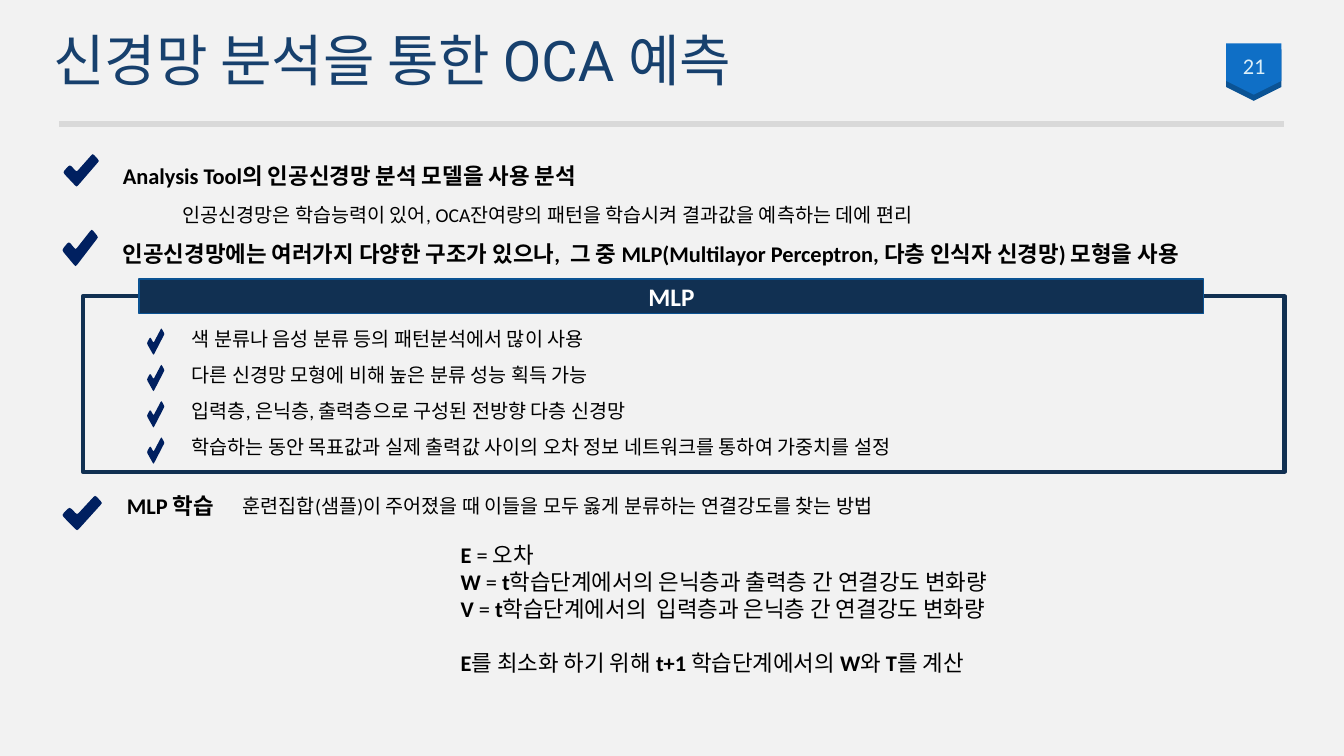
from dataclasses import dataclass

from lxml import etree
from pptx import Presentation
from pptx import util as u
from pptx.dml.color import RGBColor
from pptx.enum import shapes, text
from pptx.oxml.ns import qn

PX = 9144
NAVY, CHECK, BLACK = "113052", "002060", "000000"
CHECK_POINTS = [
    (97, 26), (100, 21), (97, 15), (87, 3), (83, 0), (79, 3),
    (41, 50), (37, 53), (33, 50), (23, 38), (18, 35), (13, 38),
    (3, 50), (0, 56), (3, 62), (33, 97), (37, 100), (41, 97),
]


@dataclass(frozen=True)
class Box:
    left: int
    top: int
    width: int
    height: int

    def emu(self) -> list[u.Emu]:
        return [u.Emu(v * PX) for v in (self.left, self.top, self.width, self.height)]


@dataclass(frozen=True)
class Span:
    words: str
    bold: bool = False


@dataclass(frozen=True)
class Label:
    box: Box
    words: str
    size: int
    bold: bool = False


LABELS = [
    Label(Box(112, 156, 508, 37), "Analysis Tool의 인공신경망 분석 모델을 사용 분석", 16, True),
    Label(Box(171, 196, 806, 34),
          "인공신경망은 학습능력이 있어, OCA잔여량의 패턴을 학습시켜 결과값을 예측하는 데에 편리", 14),
    Label(Box(112, 233, 1125, 37),
          "인공신경망에는 여러가지 다양한 구조가 있으나,  그 중 MLP(Multilayor Perceptron, 다층 인식자 신경망) 모형을 사용",
          16, True),
    Label(Box(116, 483, 110, 37), "MLP 학습", 16, True),
    Label(Box(231, 485, 700, 34),
          "훈련집합(샘플)이 주어졌을 때 이들을 모두 옳게 분류하는 연결강도를 찾는 방법", 14),
]
FEATURES = [
    "색 분류나 음성 분류 등의 패턴분석에서 많이 사용",
    "다른 신경망 모형에 비해 높은 분류 성능 획득 가능",
    "입력층, 은닉층, 출력층으로 구성된 전방향 다층 신경망",
    "학습하는 동안 목표값과 실제 출력값 사이의 오차 정보 네트워크를 통하여 가중치를 설정",
]
FORMULAS = [
    [Span("E", True), Span(" = 오차")],
    [Span("W", True), Span(" = "), Span("t", True),
     Span("학습단계에서의 은닉층과 출력층 간 연결강도 변화량")],
    [Span("V", True), Span(" = "), Span("t", True),
     Span("학습단계에서의  입력층과 은닉층 간 연결강도 변화량")],
    [Span("E", True), Span("를 최소화 하기 위해 "), Span("t+1 ", True), Span("학습단계에서의 "),
     Span("W", True), Span("와 "), Span("T", True), Span("를 계산")],
]
FEATURE_PITCH = 36
CHECKS = [Box(63, 153, 35, 32), Box(62, 228, 35, 36), Box(62, 492, 39, 34)] + [
    Box(146, 326 + FEATURE_PITCH * row, 17, 26) for row in range(len(FEATURES))
]


def color(value: str) -> RGBColor:
    return RGBColor.from_string(value)


def apply(target, values: dict) -> None:
    for name, value in values.items():
        setattr(target, name, value)


def write(para, spans: list[Span], size: int, ink: str = BLACK, face: str = "Calibri") -> None:
    for item in spans:
        span = para.add_run()
        span.text = item.words
        apply(span.font, {"size": u.Pt(size), "name": face, "bold": item.bold})
        span.font.color.rgb = color(ink)


def add_text(page, box: Box):
    frame = page.shapes.add_textbox(*box.emu()).text_frame
    apply(frame, {"word_wrap": True, "auto_size": text.MSO_AUTO_SIZE.SHAPE_TO_FIT_TEXT})
    return frame


def paint(shape, fill: str | None, line: str | None = None, weight: float = 1) -> None:
    shape.shadow.inherit = False
    if fill:
        shape.fill.solid()
        shape.fill.fore_color.rgb = color(fill)
    else:
        shape.fill.background()
    if line:
        shape.line.color.rgb = color(line)
        shape.line.width = u.Pt(weight)
    else:
        shape.line.fill.background()


def add_check(page, box: Box) -> None:
    left, top, width, height = box.emu()
    builder = page.shapes.build_freeform(*CHECK_POINTS[0], scale=(width / 100, height / 100))
    builder.add_line_segments(CHECK_POINTS[1:], close=True)
    paint(builder.convert_to_shape(left, top), CHECK)


def add_heading(page) -> None:
    title = page.shapes.title
    apply(title, dict(zip(("left", "top", "width", "height"), Box(43, 16, 1086, 93).emu())))
    apply(title.text_frame, {"vertical_anchor": text.MSO_ANCHOR.MIDDLE, "word_wrap": True,
                             "auto_size": text.MSO_AUTO_SIZE.NONE})
    para = title.text_frame.paragraphs[0]
    apply(para, {"alignment": text.PP_ALIGN.LEFT, "line_spacing": 0.9})
    write(para, [Span("신경망 분석을 통한 OCA 예측")], 40, "17406D", "Roboto")

    rule = page.shapes.add_connector(
        shapes.MSO_CONNECTOR.STRAIGHT, *[u.Emu(v * PX) for v in (59, 123, 1274, 123)])
    rule.line.color.rgb = color("D9D9D9")
    rule.line.width = u.Pt(4)
    etree.SubElement(rule._element.spPr, qn("a:effectLst"))


def add_page_badge(page) -> None:
    for top, fill in ((47, "0B5394"), (41, "0F6FC6")):
        badge = page.shapes.add_shape(shapes.MSO_SHAPE.PENTAGON, *Box(1218, top, 51, 55).emu())
        badge.rotation = 90
        badge.adjustments[0] = 0.27
        paint(badge, fill)
    frame = add_text(page, Box(1208, 45, 72, 40))
    apply(frame, {"vertical_anchor": text.MSO_ANCHOR.MIDDLE,
                  "auto_size": text.MSO_AUTO_SIZE.NONE})
    frame.paragraphs[0].alignment = text.PP_ALIGN.CENTER
    write(frame.paragraphs[0], [Span("21")], 16, "DBEFF9")


def add_features(page) -> None:
    border = page.shapes.add_shape(shapes.MSO_SHAPE.RECTANGLE, *Box(82, 294, 1192, 174).emu())
    paint(border, None, NAVY, 3)
    banner = page.shapes.add_shape(shapes.MSO_SHAPE.RECTANGLE, *Box(138, 277, 1056, 34).emu())
    paint(banner, NAVY, "0B5292")
    banner.text_frame.vertical_anchor = text.MSO_ANCHOR.MIDDLE
    banner.text_frame.paragraphs[0].alignment = text.PP_ALIGN.CENTER
    write(banner.text_frame.paragraphs[0], [Span("MLP", True)], 18, "FFFFFF")

    body = page.placeholders[1]
    apply(body, dict(zip(("left", "top", "width", "height"), Box(180, 319, 775, 144).emu())))
    frame = body.text_frame
    apply(frame, {"word_wrap": True, "auto_size": text.MSO_AUTO_SIZE.NONE,
                  "vertical_anchor": text.MSO_ANCHOR.TOP})
    for row, words in enumerate(FEATURES):
        para = frame.add_paragraph() if row else frame.paragraphs[0]
        settings = para._p.get_or_add_pPr()
        settings.set("marL", "0")
        settings.set("indent", "0")
        etree.SubElement(settings, qn("a:buNone"))
        para.space_before = u.Pt(9 if row else 0)
        write(para, [Span(words)], 14)


def add_formulas(page) -> None:
    frame = add_text(page, Box(447, 532, 587, 145))
    for row, spans in enumerate(FORMULAS):
        para = frame.add_paragraph() if row else frame.paragraphs[0]
        write(para, spans, 16)
    para.space_before = u.Pt(19.5)


def main() -> None:
    deck = Presentation()
    apply(deck, {"slide_width": u.Inches(13.33), "slide_height": u.Inches(7.5)})
    page = deck.slides.add_slide(deck.slide_layouts[1])
    page.background.fill.solid()
    page.background.fill.fore_color.rgb = color("F2F2F2")
    add_heading(page)
    add_page_badge(page)
    add_features(page)
    for box in CHECKS:
        add_check(page, box)
    for label in LABELS:
        frame = add_text(page, label.box)
        write(frame.paragraphs[0], [Span(label.words, label.bold)], label.size)
    add_formulas(page)
    deck.save("out.pptx")


if __name__ == "__main__":
    main()
